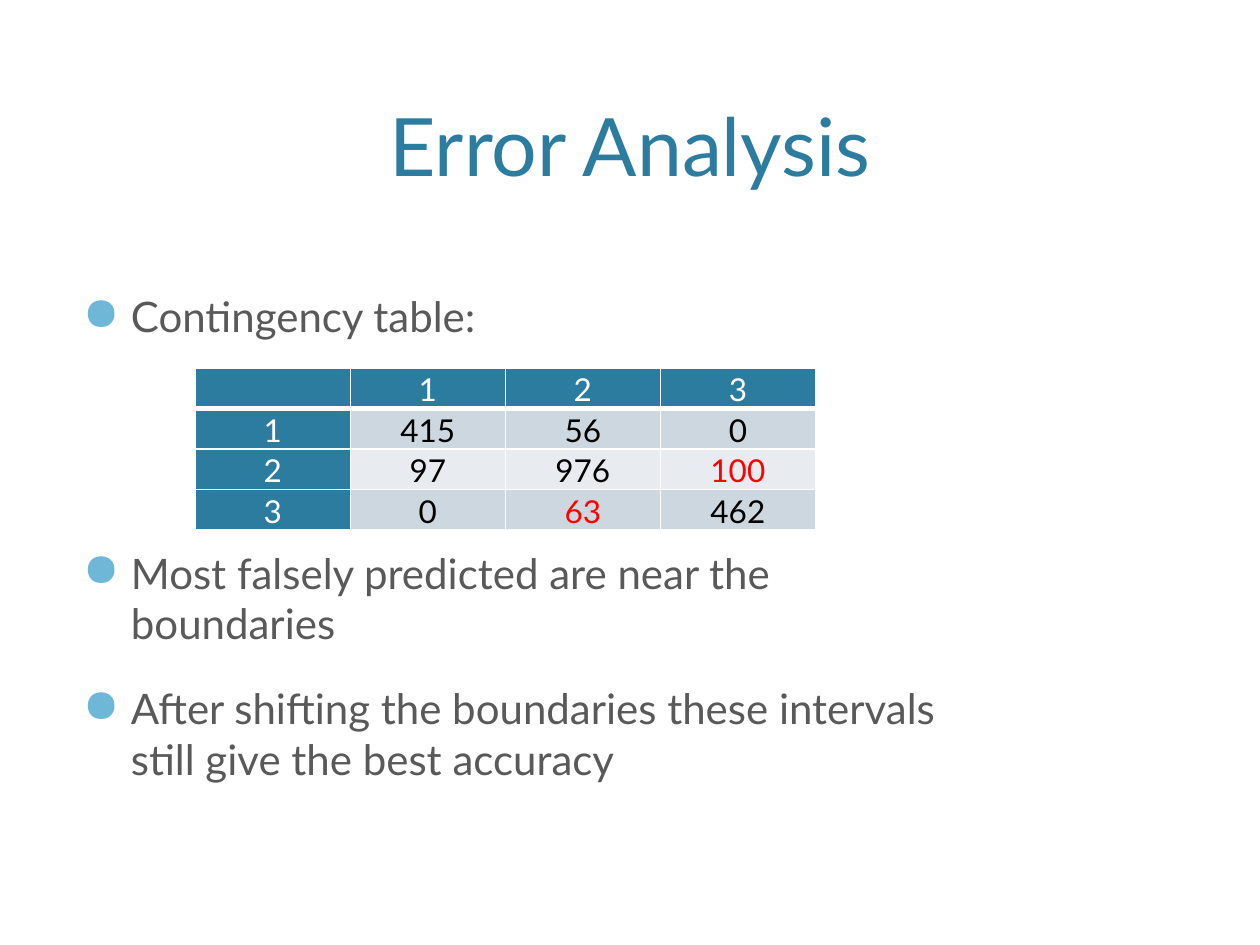
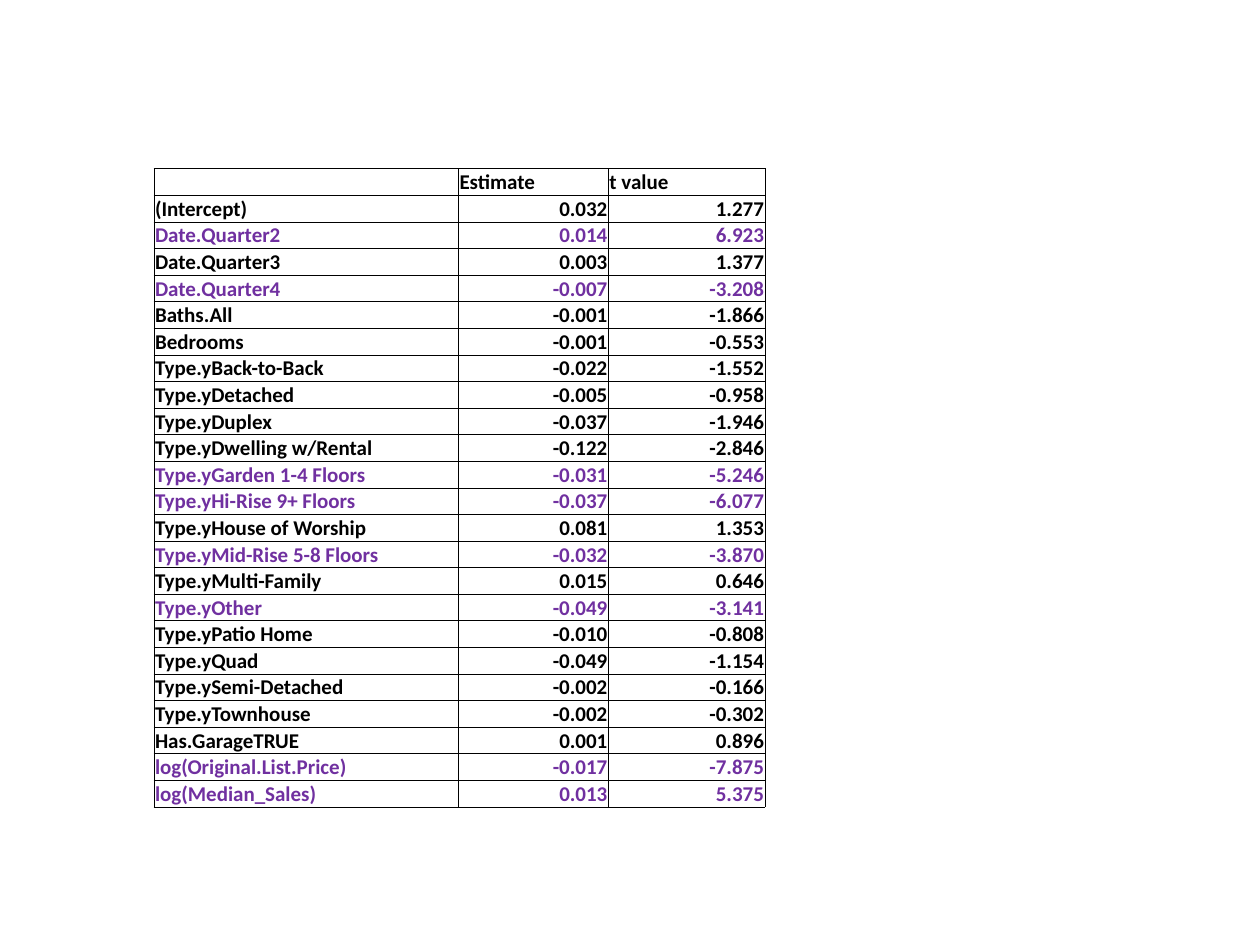
"""Build the error analysis and regression coefficient slides."""
from dataclasses import dataclass
from typing import Callable, Optional, Sequence

from lxml import etree
from pptx import Presentation
from pptx.dml.color import RGBColor
from pptx.enum import text
from pptx.oxml import ns
from pptx.util import Pt

ALIGN = text.PP_ALIGN
ANCHOR = text.MSO_ANCHOR


@dataclass(frozen=True)
class Theme:
    teal: str = "2C7C9F"
    bullet: str = "6FB7D7"
    grey: str = "595959"
    band_dark: str = "CDD7DF"
    band_light: str = "E8ECF0"
    black: str = "000000"
    white: str = "FFFFFF"
    error: str = "FF0000"
    significant: str = "7030A0"
    font: str = "Lato"
    data_font: str = "Calibri"
    title_size: float = 46
    body_size: float = 24
    matrix_size: float = 18
    data_size: float = 12


THEME = Theme()


@dataclass(frozen=True)
class TextStyle:
    font: str
    size: float
    color: str
    bold: bool = False


@dataclass(frozen=True)
class CellStyle:
    text: TextStyle
    align: ALIGN
    fill: Optional[str] = None
    bottom_line: Optional[float] = None


@dataclass(frozen=True)
class Grid:
    left: float
    top: float
    column_widths: Sequence[float]
    row_height: float
    line_color: str
    line_width: float
    margins: Sequence[float]
    anchor: ANCHOR
    line_spacing: float = 1.0


@dataclass(frozen=True)
class Bullet:
    text: str
    space_before: float = 0


MATRIX = [
    ["", "1", "2", "3"],
    ["1", "415", "56", "0"],
    ["2", "97", "976", "100"],
    ["3", "0", "63", "462"],
]
LARGE_ERRORS = {"100", "63"}
MATRIX_GRID = Grid(111.6, 210.3, [88.6] * 4, 23, THEME.white, 1,
                   (4.3, 0, 4.3, 0), ANCHOR.TOP, 1.07)

BULLETS = [
    Bullet("Contingency table:"),
    Bullet("Most falsely predicted are near the boundaries", 117.6),
    Bullet("After shifting the boundaries these intervals still give the best accuracy", 20),
]

COEFFICIENTS = [
    ["", "Estimate", "t value"],
    ["(Intercept)", "0.032", "1.277"],
    ["Date.Quarter2", "0.014", "6.923"],
    ["Date.Quarter3", "0.003", "1.377"],
    ["Date.Quarter4", "-0.007", "-3.208"],
    ["Baths.All", "-0.001", "-1.866"],
    ["Bedrooms", "-0.001", "-0.553"],
    ["Type.yBack-to-Back", "-0.022", "-1.552"],
    ["Type.yDetached", "-0.005", "-0.958"],
    ["Type.yDuplex", "-0.037", "-1.946"],
    ["Type.yDwelling w/Rental", "-0.122", "-2.846"],
    ["Type.yGarden 1-4 Floors", "-0.031", "-5.246"],
    ["Type.yHi-Rise 9+ Floors", "-0.037", "-6.077"],
    ["Type.yHouse of Worship", "0.081", "1.353"],
    ["Type.yMid-Rise 5-8 Floors", "-0.032", "-3.870"],
    ["Type.yMulti-Family", "0.015", "0.646"],
    ["Type.yOther", "-0.049", "-3.141"],
    ["Type.yPatio Home", "-0.010", "-0.808"],
    ["Type.yQuad", "-0.049", "-1.154"],
    ["Type.ySemi-Detached", "-0.002", "-0.166"],
    ["Type.yTownhouse", "-0.002", "-0.302"],
    ["Has.GarageTRUE", "0.001", "0.896"],
    ["log(Original.List.Price)", "-0.017", "-7.875"],
    ["log(Median_Sales)", "0.013", "5.375"],
]
SIGNIFICANT_T = 3
COEFFICIENT_GRID = Grid(88, 96.5, [174, 85.7, 89.5], 15.2, THEME.black, 0.5,
                        (0.6, 0.5, 0.6, 0), ANCHOR.BOTTOM)


def add_element(parent, tag: str, **attributes: str):
    """Append a DrawingML element to its parent."""
    return etree.SubElement(parent, ns.qn(tag), attributes)


def format_runs(paragraph, style: TextStyle) -> None:
    """Apply a text style to every run of a paragraph."""
    for run in paragraph.runs:
        run.font.name = style.font
        run.font.size = Pt(style.size)
        run.font.bold = style.bold
        run.font.color.rgb = RGBColor.from_string(style.color)
    if not paragraph.runs:
        add_element(paragraph._p, "a:endParaRPr", sz=str(int(style.size * 100)))


def add_title(slide, title: str) -> None:
    """Move, fill and format the title placeholder."""
    shape = slide.shapes.title
    shape.left, shape.top, shape.width, shape.height = Pt(43), Pt(8.6), Pt(634), Pt(105)
    frame = shape.text_frame
    frame.text = title
    frame.auto_size = text.MSO_AUTO_SIZE.NONE
    frame.vertical_anchor = ANCHOR.BOTTOM
    frame.paragraphs[0].alignment = ALIGN.CENTER
    format_runs(frame.paragraphs[0], TextStyle(THEME.font, THEME.title_size, THEME.teal))


def add_bullets(slide, bullets: Sequence[Bullet]) -> None:
    """Draw the bulleted body text."""
    frame = slide.shapes.add_textbox(Pt(40.3), Pt(162.7), Pt(507.6), Pt(262)).text_frame
    frame.word_wrap = True
    frame.text = "\n".join(bullet.text for bullet in bullets)
    for paragraph, bullet in zip(frame.paragraphs, bullets):
        properties = paragraph._p.get_or_add_pPr()
        indent = Pt(27.4)
        properties.set("marL", str(indent))
        properties.set("indent", str(-indent))
        add_element(add_element(properties, "a:buClr"), "a:srgbClr", val=THEME.bullet)
        add_element(properties, "a:buSzPct", val="110000")
        add_element(properties, "a:buChar", char="●")
        paragraph.space_before = Pt(bullet.space_before)
        format_runs(paragraph, TextStyle(THEME.font, THEME.body_size, THEME.grey))


def format_cell(cell, grid: Grid, style: CellStyle) -> None:
    """Set the margins, borders, fill and text style of a cell."""
    cell.margin_left, cell.margin_top, cell.margin_right, cell.margin_bottom = map(Pt, grid.margins)
    cell.vertical_anchor = grid.anchor
    properties = cell._tc.get_or_add_tcPr()
    for side in "LRTB":
        width = style.bottom_line if side == "B" and style.bottom_line else grid.line_width
        line = add_element(properties, f"a:ln{side}", w=str(Pt(width)))
        add_element(add_element(line, "a:solidFill"), "a:srgbClr", val=grid.line_color)
    if style.fill:
        cell.fill.solid()
        cell.fill.fore_color.rgb = RGBColor.from_string(style.fill)
    else:
        cell.fill.background()
    paragraph = cell.text_frame.paragraphs[0]
    paragraph.alignment = style.align
    paragraph.line_spacing = grid.line_spacing
    format_runs(paragraph, style.text)


def add_grid(slide, grid: Grid, rows: Sequence[Sequence[str]],
             style_for: Callable[[int, int], CellStyle]) -> None:
    """Draw a table whose cell styles follow a rule."""
    table = slide.shapes.add_table(
        len(rows), len(grid.column_widths), Pt(grid.left), Pt(grid.top),
        Pt(sum(grid.column_widths)), Pt(grid.row_height * len(rows))).table
    table.first_row = table.horz_banding = False
    for column, width in zip(table.columns, grid.column_widths):
        column.width = Pt(width)
    for row_index, values in enumerate(rows):
        table.rows[row_index].height = Pt(grid.row_height)
        for column_index, value in enumerate(values):
            cell = table.cell(row_index, column_index)
            cell.text_frame.text = value
            format_cell(cell, grid, style_for(row_index, column_index))


def matrix_style(row: int, column: int) -> CellStyle:
    """Style headers, bands and large errors of the contingency table."""
    if row == 0 or column == 0:
        color, fill = THEME.white, THEME.teal
    else:
        color = THEME.error if MATRIX[row][column] in LARGE_ERRORS else THEME.black
        fill = THEME.band_dark if row % 2 else THEME.band_light
    return CellStyle(TextStyle(THEME.font, THEME.matrix_size, color), ALIGN.CENTER,
                     fill, 3 if row == 0 else None)


def coefficient_style(row: int, column: int) -> CellStyle:
    """Colour significant coefficients and align numbers right."""
    significant = row > 0 and abs(float(COEFFICIENTS[row][-1])) > SIGNIFICANT_T
    color = THEME.significant if significant else THEME.black
    align = ALIGN.RIGHT if row and column else ALIGN.LEFT
    return CellStyle(TextStyle(THEME.data_font, THEME.data_size, color, True), align)


def main() -> None:
    """Build and save the presentation."""
    presentation = Presentation()
    presentation.slide_width, presentation.slide_height = Pt(720), Pt(540)
    title_only, blank = presentation.slide_layouts[5], presentation.slide_layouts[6]

    error_slide = presentation.slides.add_slide(title_only)
    add_title(error_slide, "Error Analysis")
    add_bullets(error_slide, BULLETS)
    add_grid(error_slide, MATRIX_GRID, MATRIX, matrix_style)

    coefficient_slide = presentation.slides.add_slide(blank)
    add_grid(coefficient_slide, COEFFICIENT_GRID, COEFFICIENTS, coefficient_style)

    presentation.save("out.pptx")


if __name__ == "__main__":
    main()
